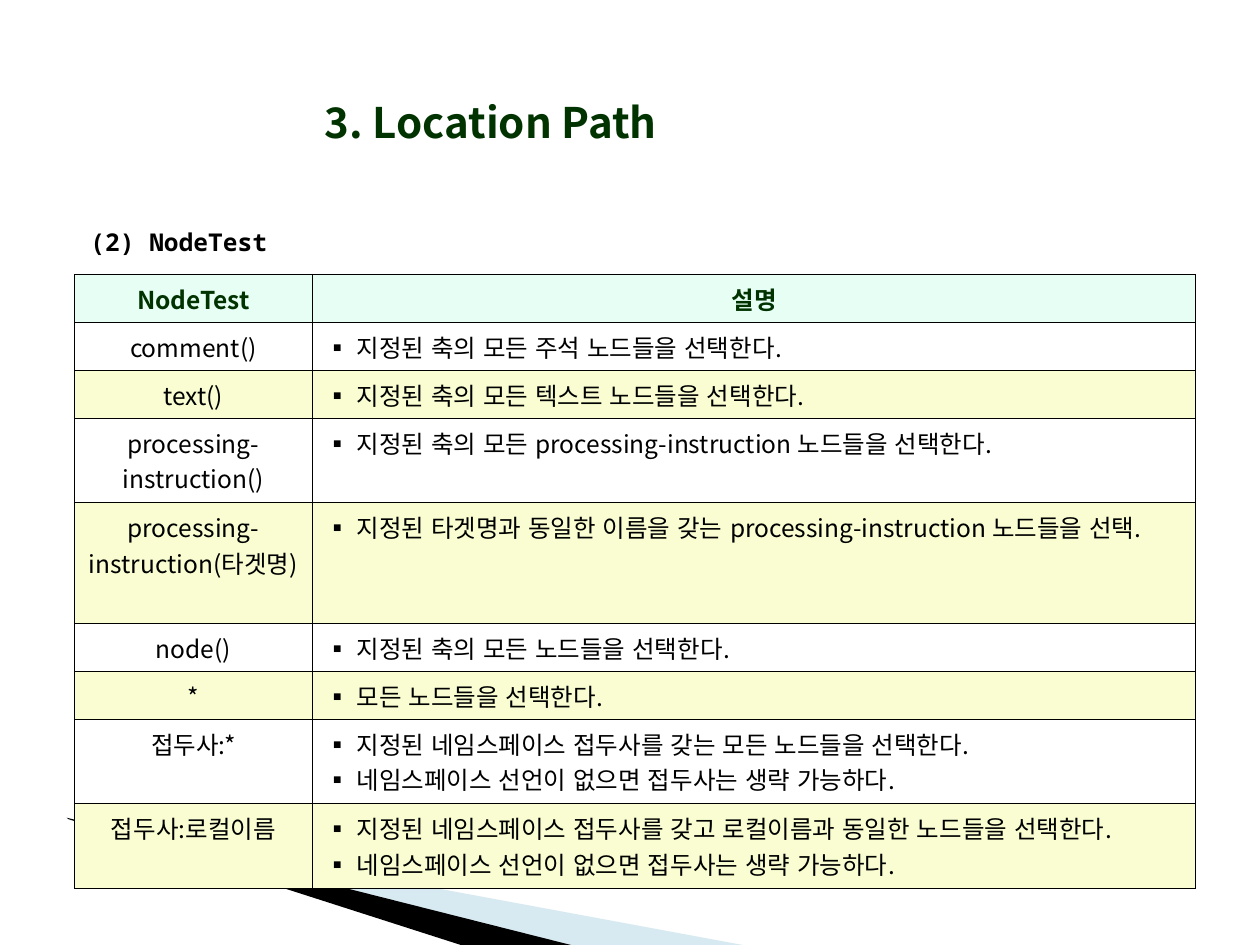
from lxml import etree
from pptx import Presentation
from pptx.dml.color import RGBColor
from pptx.enum import text
from pptx.oxml import ns
from pptx.util import Inches, Pt

SANS, MONO = "Noto Sans CJK KR", "Noto Sans Mono"
BLACK = RGBColor(0x00, 0x00, 0x00)
GREEN = RGBColor(0x00, 0x33, 0x00)
MINT = RGBColor(0xE6, 0xFE, 0xF4)
YELLOW = RGBColor(0xF9, 0xFD, 0xD1)
PALE_BLUE = RGBColor(0x9F, 0xCB, 0xDC)

TITLE = "3. Location Path"
SUBTITLE = "(2) NodeTest"
HEADER = ("NodeTest", "설명")
# node test, description, lines of text in the row
NODE_TESTS = [
    ("comment()", "▪ 지정된 축의 모든 주석 노드들을 선택한다.", 1),
    ("text()", "▪ 지정된 축의 모든 텍스트 노드들을 선택한다.", 1),
    ("processing-instruction()",
     "▪ 지정된 축의 모든 processing-instruction 노드들을 선택한다.", 2),
    ("processing-\ninstruction(타겟명)",
     "▪ 지정된 타겟명과 동일한 이름을 갖는 processing-instruction 노드들을 선택.", 3),
    ("node()", "▪ 지정된 축의 모든 노드들을 선택한다.", 1),
    ("*", "▪ 모든 노드들을 선택한다.", 1),
    ("접두사:*",
     "▪ 지정된 네임스페이스 접두사를 갖는 모든 노드들을 선택한다.\n"
     "▪ 네임스페이스 선언이 없으면 접두사는 생략 가능하다.", 2),
    ("접두사:로컬이름",
     "▪ 지정된 네임스페이스 접두사를 갖고 로컬이름과 동일한 노드들을 선택한다.\n"
     "▪ 네임스페이스 선언이 없으면 접두사는 생략 가능하다.", 2),
]
ROW_HEIGHTS = {1: 0.38, 2: 0.67, 3: 0.96}
COLUMN_WIDTHS = (1.89, 7.01)
# outline, colour, opacity in percent
SWEEPS = [
    ([(0.55, 6.51), (5.95, 7.51), (4.56, 7.51), (0.55, 6.5)], PALE_BLUE, 40),
    ([(0.53, 6.49), (4.57, 7.51), (3.72, 7.52), (0.54, 6.5)], BLACK, 100),
]


def place(shape, left, top, width, height):
    shape.left, shape.top = Inches(left), Inches(top)
    shape.width, shape.height = Inches(width), Inches(height)


def write(frame, content, size, color, bold, align, typeface=SANS):
    frame.text = content
    for paragraph in frame.paragraphs:
        paragraph.alignment = align
        for run in paragraph.runs:
            font = run.font
            font.size, font.bold, font.name = Pt(size), bold, typeface
            font.color.rgb = color
            east_asian = etree.SubElement(run._r.get_or_add_rPr(), ns.qn("a:ea"))
            east_asian.set("typeface", typeface)


def set_korean(frame):
    """Mark the runs as Korean and switch pair kerning off."""
    for paragraph in frame.paragraphs:
        for run in paragraph.runs:
            properties = run._r.get_or_add_rPr()
            properties.set("lang", "ko-KR")
            properties.set("kern", "0")


def add_sweep(slide, points, color, opacity):
    corners = [(Inches(x), Inches(y)) for x, y in points]
    builder = slide.shapes.build_freeform(*corners[0])
    builder.add_line_segments(corners[1:])
    sweep = builder.convert_to_shape()
    sweep.shadow.inherit = False
    sweep.line.fill.background()
    sweep.fill.solid()
    sweep.fill.fore_color.rgb = color
    if opacity < 100:
        srgb = sweep._element.spPr.find(".//" + ns.qn("a:srgbClr"))
        etree.SubElement(srgb, ns.qn("a:alpha")).set("val", str(opacity * 1000))


def add_borders(cell):
    properties = cell._tc.get_or_add_tcPr()
    for side in ("lnL", "lnR", "lnT", "lnB"):
        line = etree.SubElement(properties, ns.qn("a:" + side), w=str(Pt(0.45)))
        fill = etree.SubElement(line, ns.qn("a:solidFill"))
        etree.SubElement(fill, ns.qn("a:srgbClr"), val=str(BLACK))


def add_node_test_table(slide):
    heights = [ROW_HEIGHTS[lines] for lines in [1] + [test[2] for test in NODE_TESTS]]
    rows = [HEADER] + [test[:2] for test in NODE_TESTS]
    table = slide.shapes.add_table(
        len(rows), len(HEADER), Inches(0.59), Inches(2.18),
        Inches(sum(COLUMN_WIDTHS)), Inches(sum(heights))).table
    for column, width in zip(table.columns, COLUMN_WIDTHS):
        column.width = Inches(width)
    for r, (row, height) in enumerate(zip(rows, heights)):
        table.rows[r].height = Inches(height)
        is_header = r == 0
        for c, content in enumerate(row):
            cell = table.cell(r, c)
            centred = is_header or c == 0
            write(cell.text_frame, content, 14, GREEN if is_header else BLACK, is_header,
                  text.PP_ALIGN.CENTER if centred else text.PP_ALIGN.LEFT)
            set_korean(cell.text_frame)
            add_borders(cell)
            if r % 2:
                cell.fill.background()
            else:
                cell.fill.solid()
                cell.fill.fore_color.rgb = MINT if is_header else YELLOW


def add_subtitle(slide):
    box = slide.shapes.add_textbox(Inches(0.5), Inches(1.75), Inches(9.07), Inches(0.35))
    box.text_frame.word_wrap = True
    write(box.text_frame, SUBTITLE, 14, BLACK, True, text.PP_ALIGN.JUSTIFY, MONO)
    indents = box.text_frame.paragraphs[0]._p.get_or_add_pPr()
    indents.set("marL", str(Inches(0.4)))
    indents.set("indent", str(Inches(-0.28)))


def main():
    deck = Presentation()
    deck.slide_width, deck.slide_height = Inches(10), Inches(7.5)
    slide = deck.slides.add_slide(deck.slide_layouts[5])

    for points, color, opacity in SWEEPS:
        add_sweep(slide, points, color, opacity)
    add_subtitle(slide)
    add_node_test_table(slide)

    title = slide.shapes.title
    place(title, 1.88, 0.34, 4.03, 1.25)
    title.text_frame.vertical_anchor = text.MSO_ANCHOR.MIDDLE
    write(title.text_frame, TITLE, 24, GREEN, True, text.PP_ALIGN.CENTER)

    deck.save("out.pptx")


if __name__ == "__main__":
    main()
